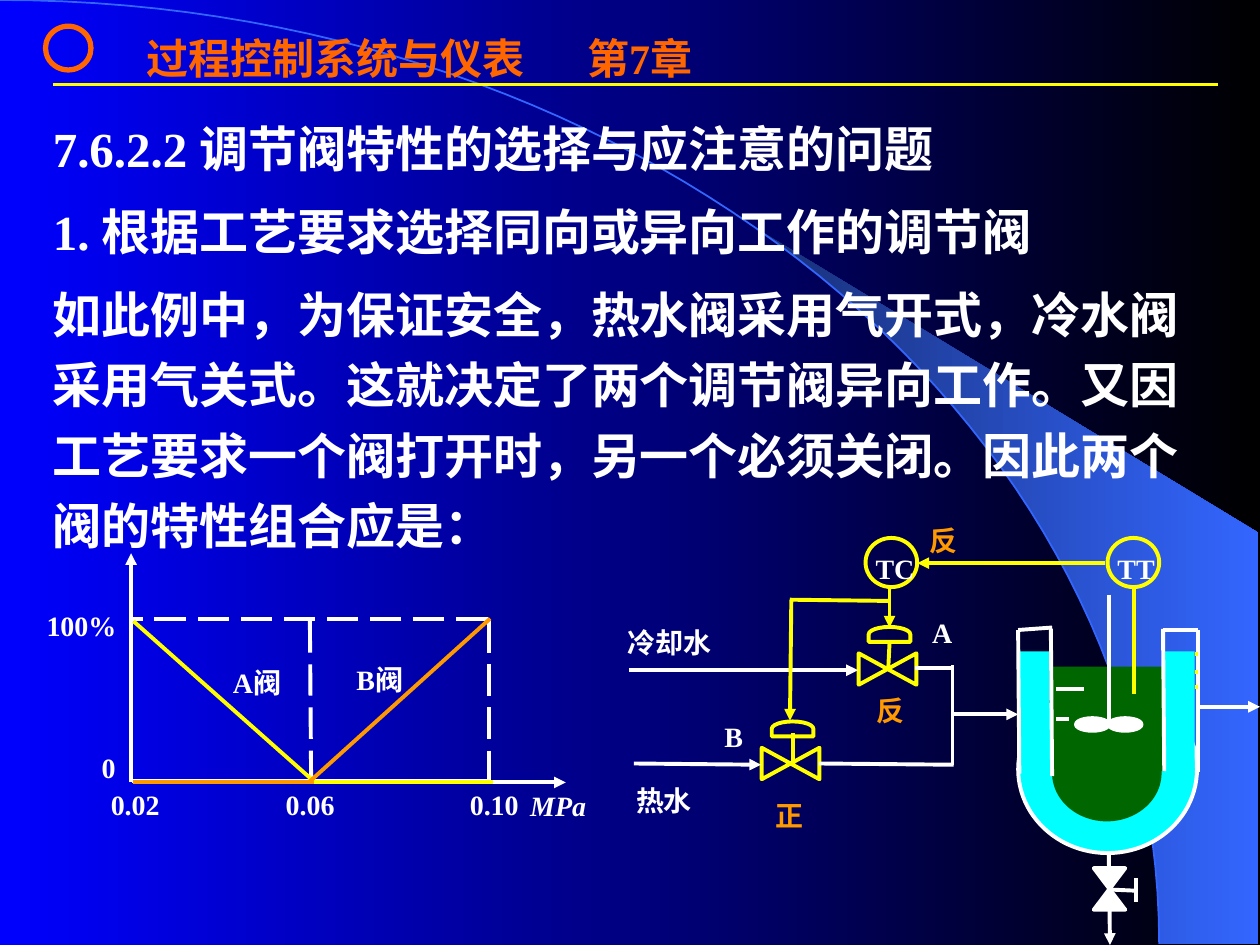
from lxml import etree
from pptx import Presentation
from pptx.dml.color import RGBColor
from pptx.enum import dml, shapes, text
from pptx.oxml import ns
from pptx.util import Pt

HUES = {"white": "FFFFFF", "gold": "FFFF00", "amber": "FF9900", "head": "FF6600",
        "aqua": "00FFFF", "green": "006600", "arc": "3366FF", "deep": "182F76",
        "blue": "0000FF", "black": "000000"}

HEAD = ["过程控制系统与仪表\t第7章"]
BODY = [
    "7.6.2.2 调节阀特性的选择与应注意的问题",
    "1. 根据工艺要求选择同向或异向工作的调节阀",
    "如此例中，为保证安全，热水阀采用气开式，冷水阀采用气关式。这就决定了两个调节阀异向工作。"
    "又因工艺要求一个阀打开时，另一个必须关闭。因此两个阀的特性组合应是：",
]

PLOT = [
    ("0", 51, 425.5, 32), ("100%", 19.5, 344.2, 59), ("0.02", 56.2, 446.4, 59),
    ("0.06", 156.2, 446.4, 62), ("0.10", 261.4, 446.4, 56),
    ("A阀", 126, 376.6, 50.4), ("B阀", 196.6, 375.1, 43.2),
]
FLOW = [
    ("TT", 631.5, 303.8, 52, "white"), ("TC", 493.3, 303.8, 52, "white"),
    ("热水", 356.4, 436.3, 70.6, "white"), ("冷却水", 351.4, 346.3, 85, "white"),
    ("B", 406.8, 399.6, 43.2, "white"), ("A", 525.6, 340.6, 43.2, "white"),
    ("反", 524.2, 288, 31, "amber"), ("反", 493.9, 385.2, 31, "amber"),
    ("正", 436.3, 445, 31, "amber"),
]

TANK = [
    ("OVAL", 581.8, 391.7, 102.2, 95.8, "aqua", "white"),
    ("OVAL", 601.2, 414, 62.6, 55.4, "green", None),
    ("RECTANGLE", 600.5, 380.9, 64.8, 59.8, "green", None),
    ("OVAL", 614.9, 410.4, 18.7, 7.2, "white", "white"),
    ("OVAL", 633.6, 410.4, 18.7, 7.2, "white", "white"),
    ("RECTANGLE", 581.8, 372.2, 18, 64.1, "aqua", None),
    ("RECTANGLE", 664.6, 372.2, 18, 64.1, "aqua", None),
    ("FLOWCHART_COLLATE", 625, 496.1, 18, 23.8, "white", "white"),
]
DIALS = [(632.9, 307.4), (494.6, 307.4)]
VALVES = [(507.2, 382.3), (451.8, 436.3)]

LINES = {
    "white": [
        (600.5, 359.3, 601.2, 443.5), (684.7, 360, 684.7, 441.4),
        (581.8, 360, 601.2, 358.6), (664.6, 360, 684.7, 360),
        (581.8, 360, 582.5, 442.1), (664.6, 359.3, 665.3, 440.6),
        (633.6, 339.8, 633.6, 414), (603.4, 393.8, 619.2, 393.8),
        (603.4, 411.1, 610.6, 411.1), (544.3, 380.2, 544.3, 437),
        (468, 436.3, 545, 437), (522.7, 381.6, 545, 381.6),
        (633.6, 508.3, 649.4, 509), (649.4, 501.8, 649.4, 515.5),
        (75.6, 446.4, 278.6, 446.4),
    ],
    "gold": [
        (683, 373.7, 684.7, 373.7), (683, 383.8, 684.7, 383.8), (683, 392.4, 684.7, 392.4),
        (507.6, 381.6, 508.3, 367.9), (452.9, 419, 452.9, 436.3),
        (648, 336.2, 648, 396.7), (451.4, 342.7, 507.6, 343.4),
        (179.3, 446.4, 76.3, 355), (179.3, 447.1, 281.5, 447.1),
    ],
    "amber": [(280.1, 353.5, 176.4, 447.1), (76.3, 447.1, 179.3, 447.1)],
}
ARROWS = {
    "white": [
        (633.6, 487.4, 634.3, 540), (544.3, 408.2, 581.8, 408.2),
        (683.3, 403.9, 720, 403.9), (359.3, 383, 490.3, 383),
        (362.2, 436.3, 434.9, 437), (74.9, 447.1, 74.9, 316.1),
        (76.3, 447.1, 323.3, 447.1),
    ],
    "gold": [(508.3, 336.2, 508.3, 358.6), (631.4, 321.8, 524.2, 321.8),
             (452.2, 342.7, 451.4, 411.8)],
}
DASHES = [(177.1, 355, 177.8, 446.4), (278.6, 353.5, 75.6, 353.5),
          (279.4, 355, 279.4, 446.4)]

deck = Presentation()
deck.slide_width, deck.slide_height = Pt(720), Pt(540)
slide = deck.slides.add_slide(deck.slide_layouts[1])
pool = slide.shapes


def hue(name):
    return RGBColor.from_string(HUES[name])


def blend(fill, *names):
    fill.gradient()
    fill.gradient_angle = 0
    for stop, name in zip(fill.gradient_stops, names):
        stop.color.rgb = hue(name)


def edge(form, name, width=2.25):
    if name:
        form.line.color.rgb = hue(name)
        form.line.width = Pt(width)
    else:
        form.line.fill.background()


def shape(kind, x, y, w, h, fill, line, turn=0, width=2.25):
    form = pool.add_shape(shapes.MSO_SHAPE[kind], Pt(x), Pt(y), Pt(w), Pt(h))
    form.shadow.inherit = False
    form.rotation = turn
    if fill:
        form.fill.solid()
        form.fill.fore_color.rgb = hue(fill)
    else:
        form.fill.background()
    edge(form, line, width)


def trace(points, close):
    first, *rest = [(Pt(x), Pt(y)) for x, y in points]
    pen = pool.build_freeform(*first)
    pen.add_line_segments(rest, close=close)
    form = pen.convert_to_shape()
    form.shadow.inherit = False
    return form


def stroke(ends, name, width=2.25, arrow=False, dash=False):
    link = pool.add_connector(shapes.MSO_CONNECTOR.STRAIGHT, *map(Pt, ends))
    edge(link, name, width)
    if dash:
        link.line.dash_style = dml.MSO_LINE.LONG_DASH
    if arrow:
        etree.SubElement(link.line._ln, ns.qn("a:tailEnd"), type="triangle")
    etree.SubElement(link.element.spPr, ns.qn("a:effectLst"))


def write(lines, x, y, w, h=26, size=16, color="white", space=1, gap=0,
          italic=False, holder=None, tab=None):
    box = holder or pool.add_textbox(Pt(x), Pt(y), Pt(w), Pt(h))
    if holder:
        box.left, box.top, box.width, box.height = map(Pt, (x, y, w, h))
        box.element.getparent().append(box.element)
    frame = box.text_frame
    frame.word_wrap = True
    frame.auto_size = text.MSO_AUTO_SIZE.NONE
    frame.vertical_anchor = text.MSO_ANCHOR.TOP
    for i, line in enumerate(lines):
        para = frame.add_paragraph() if i else frame.paragraphs[0]
        para.alignment = text.PP_ALIGN.LEFT
        para.line_spacing = space
        para.space_before = Pt(gap if i else 0)
        if holder:
            props = para._p.get_or_add_pPr()
            props.set("marL", "0")
            props.set("indent", "0")
            etree.SubElement(props, ns.qn("a:buNone"))
            if tab:
                stops = etree.SubElement(props, ns.qn("a:tabLst"))
                etree.SubElement(stops, ns.qn("a:tab"), pos=str(Pt(tab)), algn="l")
        run = para.add_run()
        run.text = line
        font = run.font
        font.name, font.size, font.bold, font.italic = "Times New Roman", Pt(size), True, italic
        font.color.rgb = hue(color)


def curve(t):
    a, b, c = 3 * (1 - t) ** 2 * t, 3 * (1 - t) * t ** 2, t ** 3
    return 365.8 * a + 662.4 * (b + c), 241.2 * b + 539.3 * c


blend(slide.background.fill, "blue", "black")
arc = [curve(i / 60) for i in range(61)]
sweep = trace([p for p in arc if p[0] > 424] + [(719.3, 539.3), (719.3, 304.6)], True)
blend(sweep.fill, "deep", "arc")
edge(sweep, None)
rim = trace(arc, False)
rim.fill.background()
edge(rim, "arc", 1)

shape("OVAL", 26, 15, 26, 25, None, "head", width=3)
stroke((30.2, 48.2, 696.2, 48.2), "gold", 1.5)
write(HEAD, 76.3, 15.1, 400, 40, 24, "head", holder=pool.title, tab=232)

for part in TANK:
    shape(*part)
for x, y in DIALS:
    shape("OVAL", x, y, 29.5, 28.1, None, "gold")
for x, y in VALVES:
    shape("FLOWCHART_COLLATE", x - 9, y - 16.5, 18, 33, None, "gold", 270)
    shape("FLOWCHART_DELAY", x - 3.2, y - 31.7, 8.6, 23.8, None, "gold", 270)

for ends in DASHES:
    stroke(ends, "white", dash=True)
for group, arrow in ((ARROWS, True), (LINES, False)):
    for name, links in group.items():
        for ends in links:
            stroke(ends, name, arrow=arrow)

write(BODY, 23, 57.4, 662.4, 260, 28, space=1.2, gap=7, holder=pool.placeholders[1])
for label, x, y, w in PLOT:
    write([label], x, y, w)
write(["MPa"], 295.9, 447.1, 58.3, italic=True)
for label, x, y, w, color in FLOW:
    write([label], x, y + 4, w, color=color, space=1.2)

deck.save("out.pptx")
